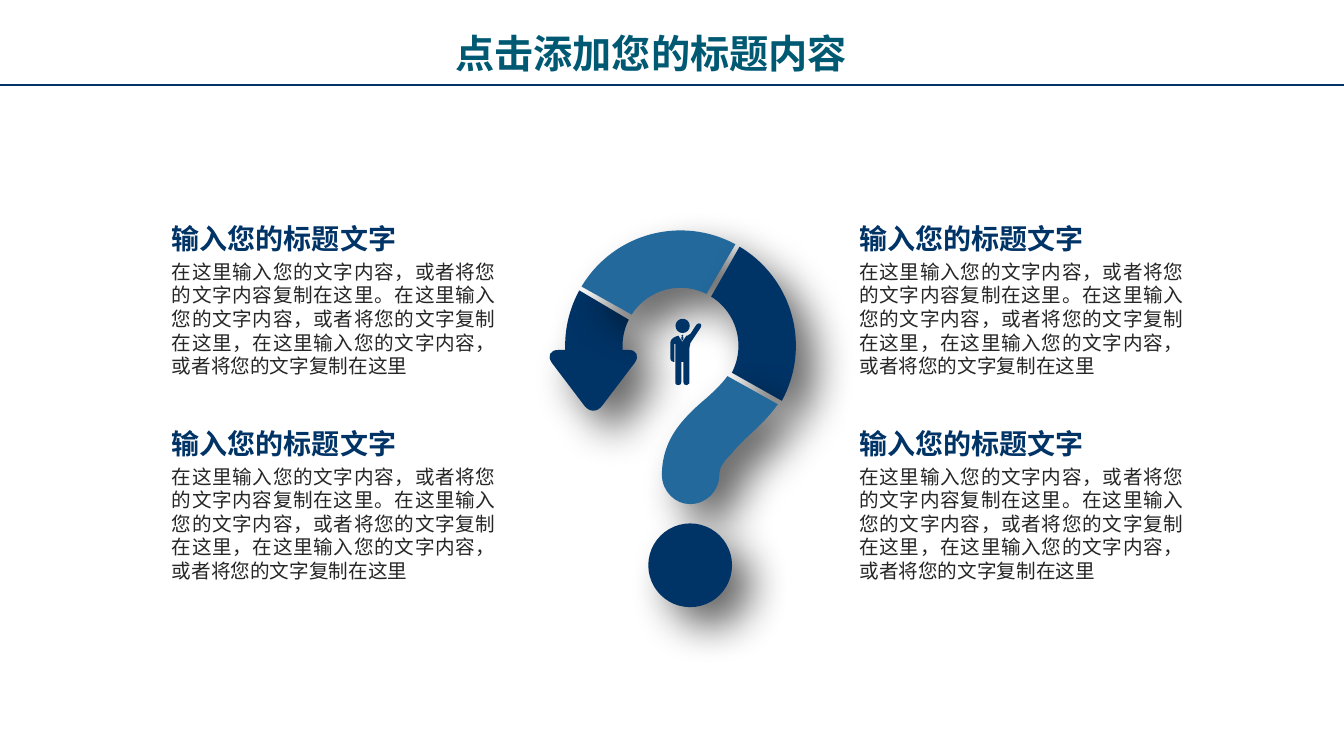
from dataclasses import dataclass
from itertools import chain
from math import cos, radians, sin, tan

from lxml.etree import SubElement
from pptx import Presentation
from pptx.dml.color import RGBColor as Rgb
from pptx.enum.shapes import MSO_CONNECTOR as Connector, MSO_SHAPE as Preset
from pptx.enum.text import PP_ALIGN as Align
from pptx.oxml.ns import qn
from pptx.util import Pt


@dataclass(frozen=True)
class Theme:
    font: str = "Noto Sans CJK SC"
    teal: str = "005973"
    navy: str = "003366"
    blue: str = "24699C"
    ink: str = "262626"
    shadow: str = "000000"
    title_size: float = 28
    heading_size: float = 20
    body_size: float = 14
    leading: float = 1.2


THEME = Theme()
SLIDE_W, SLIDE_H = 960, 540
TITLE = "点击添加您的标题内容"
HEADING = "输入您的标题文字"
BODY = ("在这里输入您的文字内容，或者将您的文字内容复制在这里。在这里输入您的文字内容，"
        "或者将您的文字复制在这里，在这里输入您的文字内容，或者将您的文字复制在这里")
RING_CENTRE = (95.4, 82)
OUTER, INNER = 82.4, 41.4


def add_text(slide, box, text, size, color, bold=False, align=Align.LEFT):
    frame = slide.shapes.add_textbox(*map(Pt, box)).text_frame
    frame.word_wrap = True
    paragraph = frame.paragraphs[0]
    paragraph.alignment = align
    paragraph.line_spacing = Pt(size * THEME.leading)
    run = paragraph.add_run()
    run.text = text
    run.font.name = THEME.font
    run.font.size = Pt(size)
    run.font.bold = bold
    run.font.color.rgb = Rgb.from_string(color)
    east_asian = SubElement(run.font._element, qn("a:ea"))
    east_asian.set("typeface", THEME.font)


def paint(shape, color, shadow=True):
    shape.fill.solid()
    shape.fill.fore_color.rgb = Rgb.from_string(color)
    shape.line.fill.background()
    shape.shadow.inherit = False
    if shadow:
        effects = shape._element.spPr.find(qn("a:effectLst"))
        outer = SubElement(effects, qn("a:outerShdw"), blurRad=str(Pt(30)),
                           dist=str(Pt(20)), dir=str(45 * 60000),
                           algn="tl", rotWithShape="0")
        tint = SubElement(outer, qn("a:srgbClr"), val=THEME.shadow)
        SubElement(tint, qn("a:alpha"), val="60000")


def line(*points):
    return [(point,) for point in points]


def curve(start, *knots):
    """A start point, then one cubic Bezier step for every three knots."""
    return [(start,)] + [knots[i:i + 3] for i in range(0, len(knots), 3)]


def arc(centre, radius, *angles):
    """Bezier steps along a circle; angles in degrees, anticlockwise from the right."""
    def at(angle, pull=0.0):
        a = radians(angle)
        return (centre[0] + radius * (cos(a) - pull * sin(a)),
                centre[1] - radius * (sin(a) + pull * cos(a)))

    knots = []
    for start, end in zip(angles, angles[1:]):
        pull = 4 / 3 * tan(radians(end - start) / 4)
        knots += [at(start, pull), at(end, -pull), at(end)]
    return curve(at(angles[0]), *knots)


def add_outline(slide, left, top, contours, color, shadow=True):
    builder = None
    for contour in contours:
        first, *rest = [(Pt(x), Pt(y)) for x, y in chain.from_iterable(contour)]
        if builder is None:
            builder = slide.shapes.build_freeform(*first)
        else:
            builder.move_to(*first)
        builder.add_line_segments(rest, close=True)
    shape = builder.convert_to_shape(Pt(left), Pt(top))
    bend(shape, contours)
    paint(shape, color, shadow)


def bend(shape, contours):
    """Merge the three straight segments of each curve step into one Bezier."""
    segments = shape._element.spPr.iter(qn("a:lnTo"))
    segments = iter(list(segments))
    for contour in contours:
        for step in contour[1:]:
            first, *others = [next(segments) for _ in step]
            if others:
                bezier = first.makeelement(qn("a:cubicBezTo"))
                first.addprevious(bezier)
                for segment in (first, *others):
                    bezier.append(segment[0])
                    segment.getparent().remove(segment)


def ring_segment(outer_angles, inner_angles):
    return arc(RING_CENTRE, OUTER, *outer_angles) + arc(RING_CENTRE, INNER, *inner_angles)


def add_header(slide, left, top, width, height):
    rule = slide.shapes.add_connector(Connector.STRAIGHT, Pt(left), Pt(top + height),
                                      Pt(left + width), Pt(top + height))
    rule.line.color.rgb = Rgb.from_string(THEME.navy)
    rule.line.width = Pt(1.5)
    SubElement(rule._element.spPr, qn("a:effectLst"))
    add_text(slide, (left + 318.2, top + 17.3, 324, 41), TITLE,
             THEME.title_size, THEME.teal, bold=True)


def add_question_mark(slide, left, top):
    arrow = (arc(RING_CENTRE, OUTER, 151.3, 180) + line((13, 85))
             + curve((7.9, 85), (2.2, 85), (0, 89.3), (3.6, 94.3))
             + curve((26.6, 124.6), (30.2, 129.6), (36, 129.6), (39.6, 124.6))
             + curve((62.6, 94.3), (66.2, 89.3), (64.1, 85), (58.3, 85))
             + line((54, 85)) + arc(RING_CENTRE, INNER, 180, 153.2))
    crown = ring_segment((61.6, 90, 149.1), (147.4, 90, 63.4))
    shoulder = ring_segment((-28.5, 0, 59.2), (58.1, 0, -27.7))
    stem = curve((113.8, 119.5), (108.7, 123.8), (103.7, 128.2), (98.6, 133.9),
                 (89.3, 144), (82.1, 157), (82.1, 174.2),
                 (82.1, 185.8), (91.4, 195.1), (102.2, 195.1),
                 (113.8, 195.1), (123.1, 185.8), (123.1, 174.2),
                 (123.1, 169.2), (126, 164.9), (131.8, 159.1),
                 (133.9, 156.2), (137.5, 152.6), (141.1, 149),
                 (149, 141.8), (157.7, 133.9), (164.9, 123.8))
    stem += curve((128.9, 103.7), (125.3, 108.7), (120.2, 113.8), (113.8, 119.5))
    for part, color in ((arrow, THEME.navy), (crown, THEME.blue),
                        (shoulder, THEME.navy), (stem, THEME.blue)):
        add_outline(slide, left, top, [part], color)
    add_person(slide, left + 88.1, top + 62.6)
    dot = slide.shapes.add_shape(Preset.OVAL, Pt(left + 72.4), Pt(top + 208.9),
                                 Pt(59.8), Pt(59.8))
    paint(dot, THEME.navy)


def add_person(slide, left, top):
    head = arc((8.8, 5.2), 5.1, 0, 90, 180, 270, 360)
    knot = line((7.9, 12.2), (8.6, 11.5), (9.4, 12.2), (8.6, 13))
    tie = line((7.9, 13), (9.4, 13), (9.4, 14.4), (8.6, 15.8), (7.9, 14.4))
    body = (line((14.4, 10.8), (12.2, 12.2), (11.5, 12.2), (8.6, 16.6))
            + curve((5.8, 12.2), (2.9, 13), (0, 14.4), (0, 17.3))
            + curve((0, 28.8), (0, 29.5), (1.4, 31), (2.2, 31))
            + line((2.9, 31), (2.9, 18), (3.6, 18))
            + curve((3.6, 46.1), (3.6, 46.8), (4.3, 47.5), (5.8, 47.5),
                    (7.2, 47.5), (7.9, 46.8), (7.9, 45.4))
            + line((7.9, 31), (9.4, 31))
            + curve((9.4, 45.4), (9.4, 46.8), (10.1, 47.5), (11.5, 47.5),
                    (12.2, 47.5), (13, 46.8), (13.7, 46.1))
            + curve((13.7, 20.9), (13.7, 19.4), (14.4, 18), (14.4, 17.3))
            + curve((21.6, 6.5), (22.3, 5.8), (22.3, 4.3), (21.6, 3.6),
                    (20.9, 2.9), (19.4, 3.6), (18.7, 4.3)))
    add_outline(slide, left, top, [head, knot, tie, body], THEME.navy, shadow=False)


def add_text_block(slide, left, top):
    add_text(slide, (left, top, 229.7, 31.5), HEADING,
             THEME.heading_size, THEME.navy, bold=True)
    add_text(slide, (left, top + 27.5, 245.5, 92), BODY,
             THEME.body_size, THEME.ink, align=Align.JUSTIFY)


def main():
    deck = Presentation()
    deck.slide_width, deck.slide_height = Pt(SLIDE_W), Pt(SLIDE_H)
    slide = deck.slides.add_slide(deck.slide_layouts[6])
    add_header(slide, 0, 0, SLIDE_W, 61)
    add_question_mark(slide, 390.7, 165)
    for left in (115.6, 606.8):
        for top in (154.6, 300.9):
            add_text_block(slide, left, top)
    deck.save("out.pptx")


if __name__ == "__main__":
    main()
